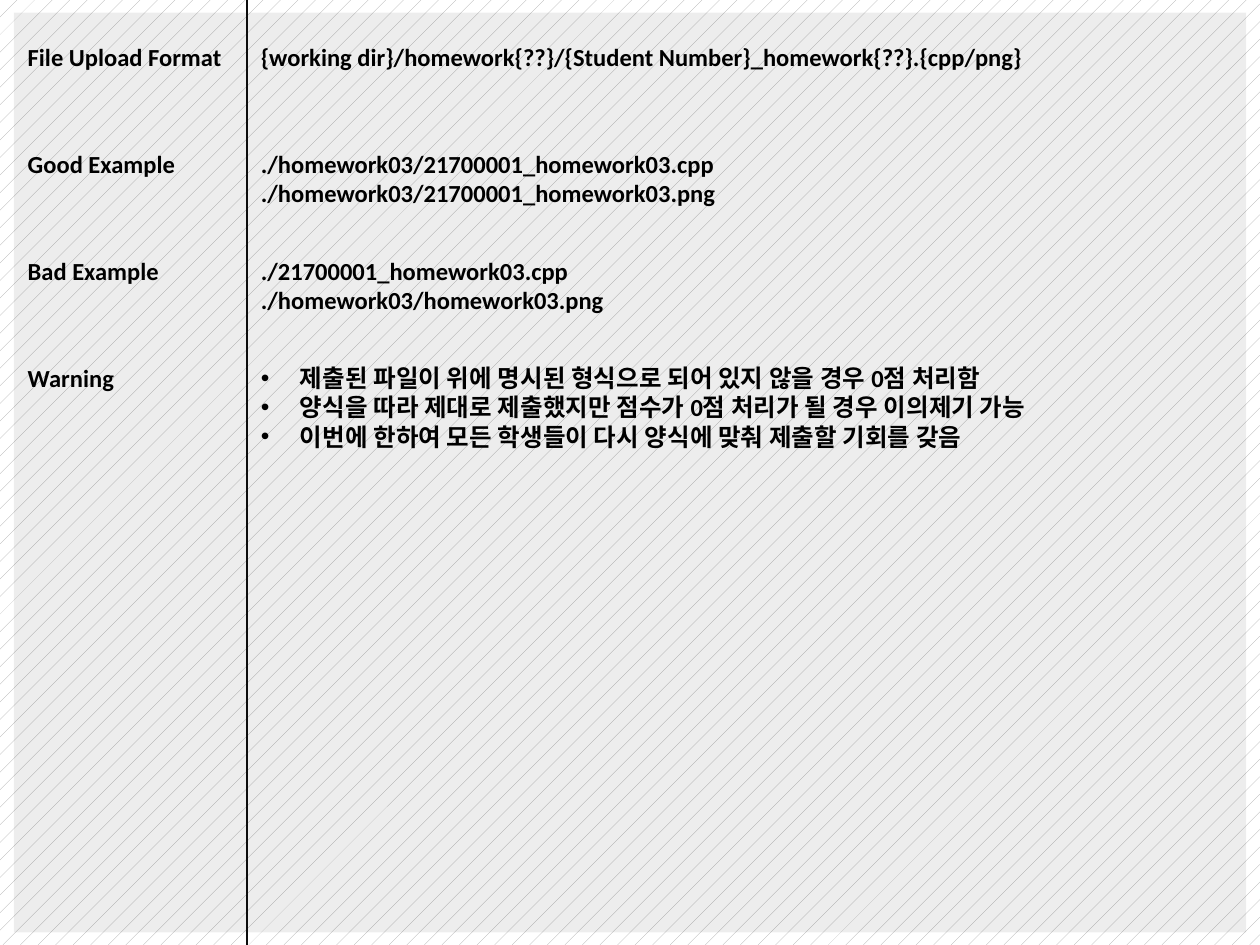
"""Build the homework submission format slide."""
import pptx
import pptx.dml.color
import pptx.enum.dml
import pptx.enum.shapes
import pptx.oxml.ns
import pptx.util
from lxml import etree

Inches = pptx.util.Inches
ROWS = [
    ("File Upload Format", ["{working dir}/homework{??}/{Student Number}_homework{??}.{cpp/png}"], False),
    ("Good Example", ["./homework03/21700001_homework03.cpp",
                      "./homework03/21700001_homework03.png"], False),
    ("Bad Example", ["./21700001_homework03.cpp", "./homework03/homework03.png"], False),
    ("Warning", ["제출된 파일이 위에 명시된 형식으로 되어 있지 않을 경우 0점 처리함",
                 "양식을 따라 제대로 제출했지만 점수가 0점 처리가 될 경우 이의제기 가능",
                 "이번에 한하여 모든 학생들이 다시 양식에 맞춰 제출할 기회를 갖음"], True),
]
WIDTH, HEIGHT = 10, 7.5
MARGIN_X, MARGIN_Y = 0.11, 0.1
DIVIDER_X = 1.96
LABEL_X, LABEL_WIDTH = 0.22, 1.75
DETAIL_X, DETAIL_WIDTH = 2.07, 7.61
FIRST_ROW_Y, ROW_HEIGHT, LIST_HEIGHT = 0.33, 0.85, 1.63
BULLET_INDENT = 0.31


def color(value):
    return pptx.dml.color.RGBColor.from_string(value)


def add_child(parent, tag, **attributes):
    return etree.SubElement(parent, pptx.oxml.ns.qn(tag), attributes)


def add_rectangle(slide, left, top, width, height):
    shape = slide.shapes.add_shape(pptx.enum.shapes.MSO_SHAPE.RECTANGLE, Inches(left),
                                   Inches(top), Inches(width), Inches(height))
    shape.shadow.inherit = False
    shape.line.fill.background()
    return shape


def add_text(slide, left, top, width, height, lines, bulleted=False):
    box = slide.shapes.add_textbox(Inches(left), Inches(top), Inches(width), Inches(height))
    frame = box.text_frame
    frame.word_wrap = True
    frame.margin_left = frame.margin_top = frame.margin_right = frame.margin_bottom = 0
    frame.text = "\n".join(lines)
    for para in frame.paragraphs:
        for span in para.runs:
            span.font.name = "Calibri"
            span.font.size = pptx.util.Pt(14)
            span.font.bold = True
            span.font.color.rgb = color("000000")
            add_child(span.font._element, "a:ea", typeface="Calibri")
        if bulleted:
            properties = para._p.get_or_add_pPr()
            properties.set("marL", str(Inches(BULLET_INDENT)))
            properties.set("indent", str(-Inches(BULLET_INDENT)))
            add_child(properties, "a:buFont", typeface="Arial")
            add_child(properties, "a:buChar", char="•")


deck = pptx.Presentation()
deck.slide_width, deck.slide_height = Inches(WIDTH), Inches(HEIGHT)
page = deck.slides.add_slide(deck.slide_layouts[6])

backdrop = add_rectangle(page, 0, 0, WIDTH, HEIGHT)
backdrop.fill.patterned()
backdrop.fill.pattern = pptx.enum.dml.MSO_PATTERN.PERCENT_5
backdrop.fill.fore_color.rgb = color("A6A6A6")
backdrop.fill.back_color.rgb = color("FFFFFF")

panel = add_rectangle(page, MARGIN_X, MARGIN_Y, WIDTH - 2 * MARGIN_X, HEIGHT - 2 * MARGIN_Y)
panel.fill.solid()
panel.fill.fore_color.rgb = color("000000")
panel_color = panel._element.spPr.find(".//" + pptx.oxml.ns.qn("a:srgbClr"))
add_child(panel_color, "a:alpha", val="7000")

divider = page.shapes.add_connector(pptx.enum.shapes.MSO_CONNECTOR.STRAIGHT, Inches(DIVIDER_X),
                                    0, Inches(DIVIDER_X), Inches(HEIGHT))
divider.line.color.rgb = color("0D0D0D")
divider.line.width = pptx.util.Pt(1.25)
add_child(divider._element.spPr, "a:effectLst")

for index, (label, details, bulleted) in enumerate(ROWS):
    top = FIRST_ROW_Y + index * ROW_HEIGHT
    add_text(page, LABEL_X, top, LABEL_WIDTH, ROW_HEIGHT, [label])
    detail_height = LIST_HEIGHT if bulleted else ROW_HEIGHT
    add_text(page, DETAIL_X, top, DETAIL_WIDTH, detail_height, details, bulleted)

deck.save("out.pptx")
